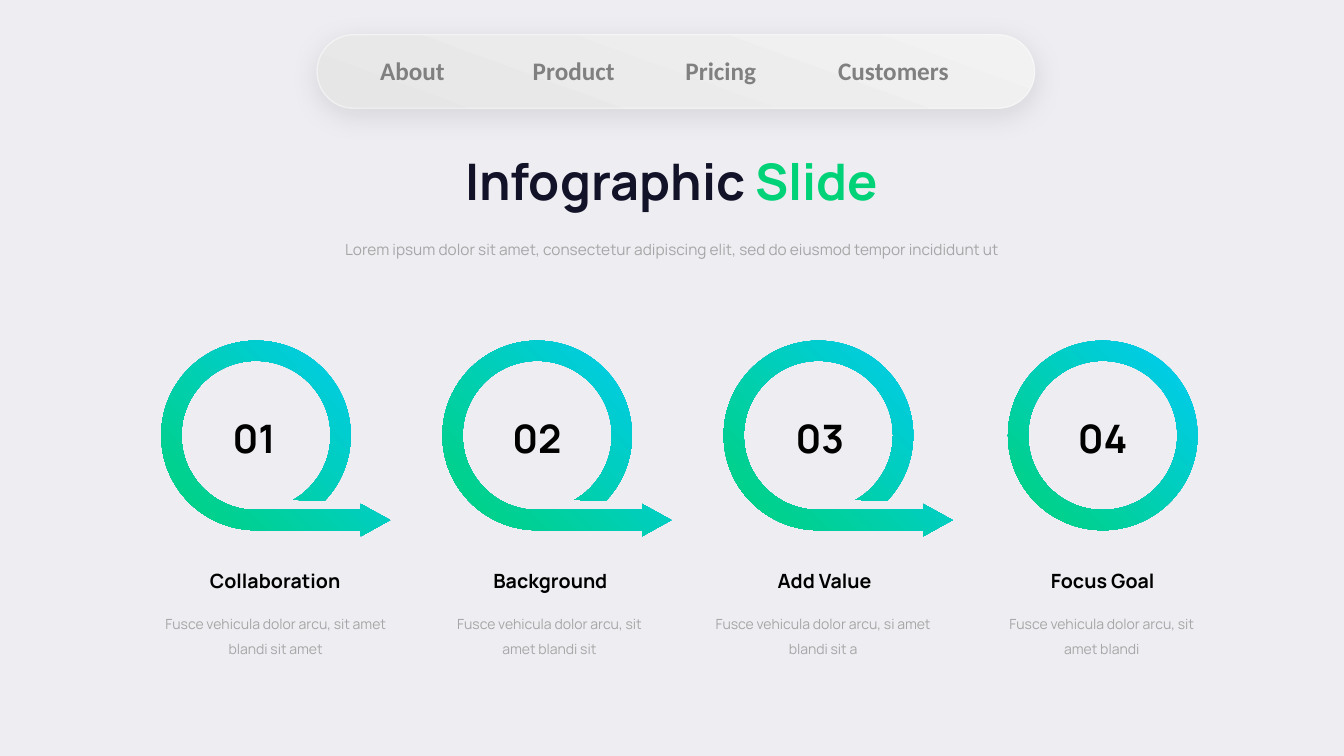
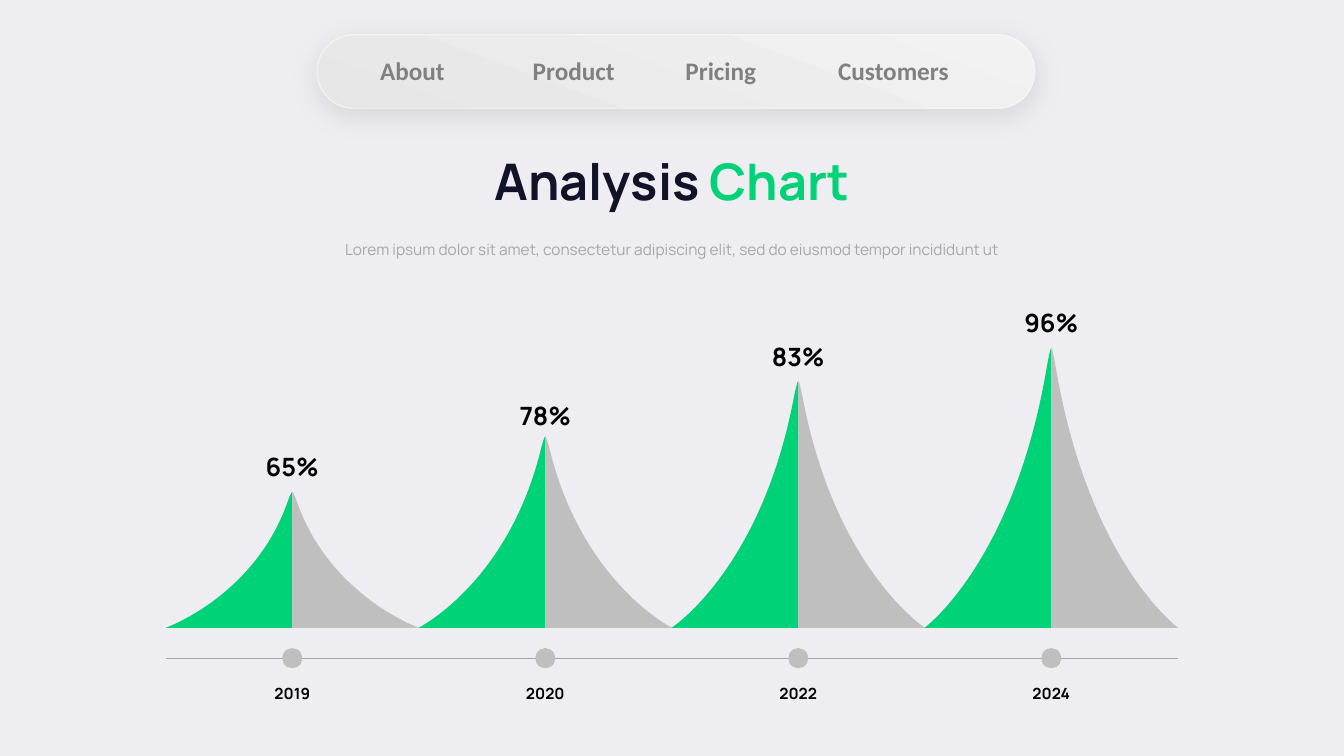
import math

from lxml import etree
from pptx import Presentation
from pptx import util as u
from pptx.dml.color import RGBColor
from pptx.enum import shapes, text
from pptx.oxml import ns

COLORS = {
    "background": "EEEDF2", "ink": "121228", "black": "000000", "muted": "A6A6A6",
    "green": "00D278", "cyan": "00CBF7", "silver": "BFBFBF", "menu": "808080",
    "bar_dark": "E7E6E6", "bar_light": "F2F2F2", "white": "FFFFFF",
}
FONT = "Manrope"
MENU = ["About", "Product", "Pricing", "Customers"]
SUBTITLE = ("Lorem ipsum dolor sit amet, consectetur adipiscing elit, "
            "sed do eiusmod tempor incididunt ut")
PLAIN_TABLE_STYLE = "{2D5ABB26-0587-4C30-8999-92F81FD0307C}"


def color(name):
    return RGBColor.from_string(COLORS[name])


def add_alpha(parent, percent):
    etree.SubElement(parent, ns.qn("a:alpha"), val=str(percent * 1000))


def on_circle(x, y, radius, degrees):
    angle = math.radians(degrees)
    return x + radius * math.cos(angle), y + radius * math.sin(angle)


def arc(x, y, radius, start, end):
    """Curves along a circle, cut at each quarter; degrees run clockwise from the right."""
    low, high = sorted((start, end))
    cuts = sorted({low, high, *(q for q in range(0, 451, 90) if low < q < high)},
                  reverse=end < start)
    curves = []
    for first, last in zip(cuts, cuts[1:]):
        pull = 4 / 3 * math.tan(math.radians(last - first) / 4)
        (x0, y0), (x3, y3) = (on_circle(x, y, radius, a) for a in (first, last))
        curves.append([(x0 - pull * (y0 - y), y0 + pull * (x0 - x)),
                       (x3 + pull * (y3 - y), y3 - pull * (x3 - x)), (x3, y3)])
    return curves


class Deck:
    def __init__(self):
        self.presentation = Presentation()
        self.presentation.slide_width = u.Inches(40 / 3)
        self.presentation.slide_height = u.Inches(7.5)
        self.slide = None

    def new_slide(self, title, accent):
        """Start a slide with the shared menu bar, two-colour title and subtitle."""
        self.slide = self.presentation.slides.add_slide(self.presentation.slide_layouts[5])
        fill = self.slide.background.fill
        fill.solid()
        fill.fore_color.rgb = color("background")
        self.menu_bar()
        self.title(title, accent)
        self.text(SUBTITLE, 6.67, 2.24, 9.67, 0.35, 11, "muted", bold=False, spacing=1.5)

    def style(self, paragraph, size, color_name=None, bold=True, font=FONT):
        paragraph.font.name = font
        paragraph.font.size = u.Pt(size)
        paragraph.font.bold = bold
        if color_name:
            paragraph.font.color.rgb = color(color_name)

    def title(self, title, accent):
        shape = self.slide.shapes.title
        shape.left, shape.top = u.Inches(2.73), u.Inches(1.44)
        shape.width, shape.height = u.Inches(7.87), u.Inches(0.71)
        shape.text_frame.auto_size = text.MSO_AUTO_SIZE.SHAPE_TO_FIT_TEXT
        shape.text_frame.vertical_anchor = text.MSO_ANCHOR.TOP
        paragraph = shape.text_frame.paragraphs[0]
        paragraph.alignment = text.PP_ALIGN.CENTER
        self.style(paragraph, 36)
        for words, name in ((title + " ", "ink"), (accent, "green")):
            run = paragraph.add_run()
            run.text = words
            run.font.color.rgb = color(name)

    def text(self, words, center, top, width, height, size, color_name="black",
             bold=True, spacing=None, anchor=text.MSO_ANCHOR.TOP):
        box = self.slide.shapes.add_textbox(u.Inches(center - width / 2), u.Inches(top),
                                            u.Inches(width), u.Inches(height))
        frame = box.text_frame
        frame.word_wrap = True
        frame.auto_size = text.MSO_AUTO_SIZE.SHAPE_TO_FIT_TEXT
        frame.vertical_anchor = anchor
        paragraph = frame.paragraphs[0]
        paragraph.text = words
        paragraph.alignment = text.PP_ALIGN.CENTER
        if spacing:
            paragraph.line_spacing = spacing
        self.style(paragraph, size, color_name, bold)

    def gradient(self, shape, first, last, angle):
        """Fill with two colours; the angle runs clockwise."""
        shape.fill.gradient()
        shape.fill.gradient_angle = 360 - angle
        for stop, name, position in zip(shape.fill.gradient_stops, (first, last), (0, 1)):
            stop.color.rgb = color(name)
            stop.position = position

    def finish(self, shape, fill=None):
        """Remove line and shadow; fill plainly, or with the accent gradient."""
        shape.shadow.inherit = False
        shape.line.fill.background()
        if fill:
            shape.fill.solid()
            shape.fill.fore_color.rgb = color(fill)
        else:
            self.gradient(shape, "cyan", "green", 135)

    def preset(self, kind, left, top, width, height):
        return self.slide.shapes.add_shape(kind, u.Inches(left), u.Inches(top),
                                           u.Inches(width), u.Inches(height))

    def outline(self, start, segments, fill=None, parent=None):
        """Closed outline; a segment of one point is a line, one of three a Bézier curve."""
        points = [(u.Inches(x), u.Inches(y)) for segment in segments for x, y in segment]
        builder = (parent or self.slide).shapes.build_freeform(
            u.Inches(start[0]), u.Inches(start[1]))
        builder.add_line_segments(points, close=True)
        shape = builder.convert_to_shape()
        lines = iter(list(shape.element.iter(ns.qn("a:lnTo"))))
        for segment in segments:
            steps = [next(lines) for _ in segment]
            if len(steps) == 3:
                curve = etree.Element(ns.qn("a:cubicBezTo"))
                steps[0].addprevious(curve)
                for step in steps:
                    curve.append(step[0])
                    step.getparent().remove(step)
        self.finish(shape, fill)

    def menu_bar(self):
        bar = self.preset(shapes.MSO_SHAPE.ROUNDED_RECTANGLE, 6.34, -2.85, 0.73, 7.12)
        bar.rotation = 90
        bar.adjustments[0] = 0.5
        self.gradient(bar, "bar_dark", "bar_light", 200)
        bar.line.width = u.Pt(1)
        bar.line.color.rgb = color("white")
        properties = bar.element.spPr
        add_alpha(properties.find(ns.qn("a:ln")).find(".//" + ns.qn("a:srgbClr")), 50)
        bar.shadow.inherit = False
        shadow = etree.SubElement(
            properties.find(ns.qn("a:effectLst")), ns.qn("a:outerShdw"),
            blurRad=str(u.Pt(20)), dist=str(u.Pt(5)), dir="5400000",
            algn="t", rotWithShape="0")
        add_alpha(etree.SubElement(shadow, ns.qn("a:srgbClr"), val=COLORS["black"]), 10)

        frame = self.slide.shapes.add_table(1, len(MENU), u.Inches(3.67), u.Inches(0.51),
                                            u.Inches(6.06), u.Inches(0.41))
        table = frame.table
        table.first_row = table.horz_banding = False
        frame.element.find(".//" + ns.qn("a:tableStyleId")).text = PLAIN_TABLE_STYLE
        for cell, label in zip(table.iter_cells(), MENU):
            cell.fill.background()
            cell.text = label
            self.style(cell.text_frame.paragraphs[0], 18, "menu", font="Calibri")

    def loop_arrow(self, x, y):
        """Ring around (x, y) that runs out into an arrow to the right."""
        tip = (x + 1.33, y + 0.84)
        head = [[(x + 1.04, y + 0.68)], [(x + 1.04, y + 0.74)], [(x, y + 0.74)]]
        tail = [[(x + 1.04, y + 0.94)], [(x + 1.04, y + 1)]]
        inner = arc(x, y, 0.74, 90, 420)
        outer = arc(x, y, 0.94, 403, 90)
        self.outline(tip, head + inner + [[on_circle(x, y, 0.94, 403)]] + outer + tail)

    def ring(self, x, y):
        donut = self.preset(shapes.MSO_SHAPE.DONUT, x - 0.94, y - 0.94, 1.88, 1.88)
        donut.adjustments[0] = 0.2 / 1.88
        self.finish(donut)

    def peak(self, center, top, base):
        group = self.slide.shapes.add_group_shape()
        height = base - top
        for side, fill in ((-1, "green"), (1, "silver")):
            def point(offset, share):
                return center + side * offset, top + share * height
            shoulder, corner, apex = point(0.05, 0.08), point(1.26, 1), point(0, 0)
            slope = [point(0.38, 0.77), corner, corner]
            rounding = [point(0.01, 0), point(0.03, 0.04), shoulder]
            self.outline(shoulder, [slope, [point(0, 1)], [apex], rounding], fill, group)

    def line(self, left, right, y):
        connector = self.slide.shapes.add_connector(
            shapes.MSO_CONNECTOR.STRAIGHT, u.Inches(left), u.Inches(y),
            u.Inches(right), u.Inches(y))
        connector.line.color.rgb = color("muted")
        connector.line.width = u.Pt(0.5)
        etree.SubElement(connector.element.spPr, ns.qn("a:effectLst"))

    def dot(self, center, y):
        self.finish(self.preset(shapes.MSO_SHAPE.OVAL, center - 0.1, y - 0.1, 0.2, 0.2),
                    "silver")


def infographic_slide(deck):
    deck.new_slide("Infographic", "Slide")
    steps = [
        (2.54, 2.73, "Collaboration",
         "Fusce vehicula dolor arcu, sit amet blandi sit amet", 1.48, 2.51),
        (5.33, 5.46, "Background",
         "Fusce vehicula dolor arcu, sit amet blandi sit", 4.34, 2.22),
        (8.12, 8.18, "Add Value",
         "Fusce vehicula dolor arcu, si amet blandi sit a", 6.92, 2.49),
        (10.94, 10.94, "Focus Goal",
         "Fusce vehicula dolor arcu, sit amet blandi", 9.76, 2.34),
    ]
    for i, (ring_x, heading_x, heading, description, left, width) in enumerate(steps):
        draw = deck.ring if i == len(steps) - 1 else deck.loop_arrow
        draw(ring_x, 4.32)
        deck.text(f"{i + 1:02}", 2.52 + 8.42 / 3 * i, 4.06, 1, 0.57, 28)
        deck.text(heading, heading_x, 5.59, 2.22, 0.34, 14)
        deck.text(description, left + width / 2, 5.97, width, 0.58, 10, "muted",
                  bold=False, spacing=1.5)


def analysis_slide(deck):
    deck.new_slide("Analysis", "Chart")
    deck.line(1.65, 11.69, 6.53)
    peaks = [("2019", "65%", 4.88, 4.43), ("2020", "78%", 4.33, 3.92),
             ("2022", "83%", 3.78, 3.34), ("2024", "96%", 3.45, 3)]
    for i, (year, share, top, label_top) in enumerate(peaks):
        center = 2.9 + 2.51 * i
        deck.peak(center, top, 6.23)
        deck.text(share, center, label_top, 1.77, 0.4, 18, anchor=text.MSO_ANCHOR.MIDDLE)
        deck.dot(center, 6.53)
        deck.text(year, center, 6.74, 1.77, 0.29, 11)


def main():
    deck = Deck()
    infographic_slide(deck)
    analysis_slide(deck)
    deck.presentation.save("out.pptx")


if __name__ == "__main__":
    main()
